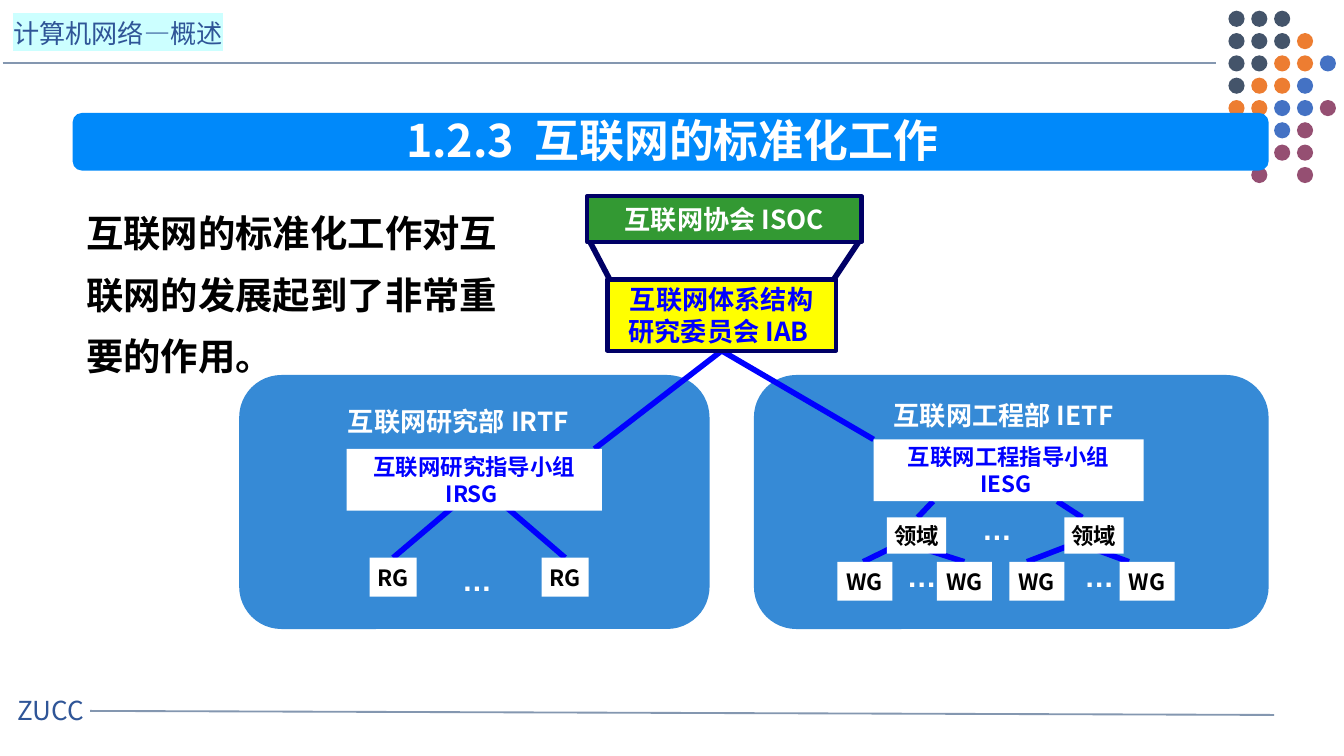
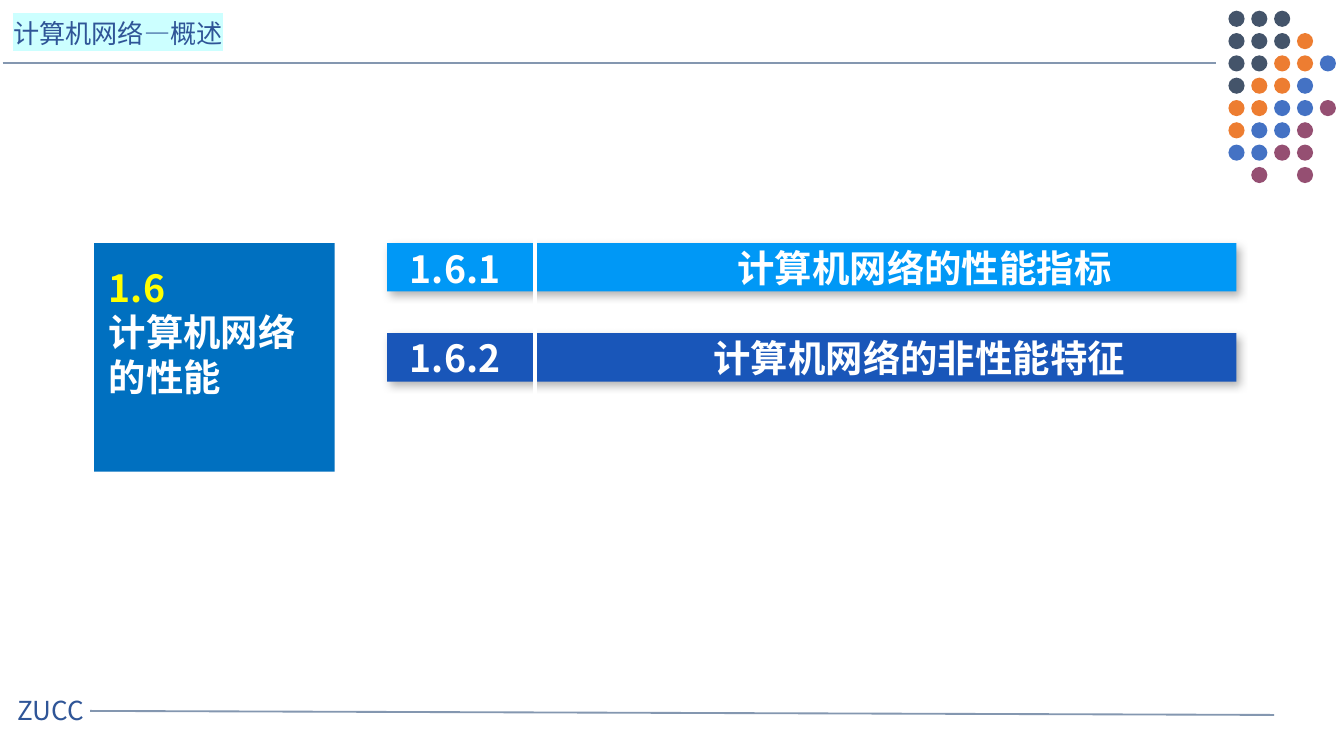
from lxml import etree
from pptx import Presentation, util as u
from pptx.dml.color import RGBColor
from pptx.enum import shapes as sh, text as tx
from pptx.oxml.ns import qn

WIDTH, HEIGHT = 10, 5.625
SANS, LATIN = "Noto Sans CJK SC", "Calibri"
WHITE, BLACK, BLUE, NAVY = "FFFFFF", "000000", "0000FF", "000066"

# Shared frame
RULES = [(0.02, 0.47, 9.05, 0.47), (0.67, 5.29, 9.48, 5.32)]
DOTS = ["NNN", "NNNO", "NNOOB", "NOOB", "OOBBP", "OBBP", "BBPP", " P P"]
DOT_COLORS = {"N": "44546A", "O": "ED7D31", "B": "4472C4", "P": "954F72"}
DOT_LEFT, DOT_TOP, DOT_X, DOT_Y, DOT_SIZE = 9.14, 0.08, 0.17, 0.166, 0.12

# Slide 1: standards bodies
STANDARDS = "1.2.3  互联网的标准化工作"
IMPORTANCE = "互联网的标准化工作对互联网的发展起到了非常重要的作用。"
PANELS = [(5.61, 2.79, 3.83, 1.89), (1.78, 2.79, 3.5, 1.89)]
PANEL_LABELS = [("互联网研究部 IRTF", (2.49, 2.97, 1.93, 0.34), tx.PP_ALIGN.LEFT),
                ("互联网工程部 IETF ", (6.52, 2.92, 1.94, 0.34), tx.PP_ALIGN.CENTER)]
ELLIPSES = [(7.21, 3.75), (6.65, 4.1), (7.97, 4.1), (3.34, 4.13)]
STYLES = {
    "society": dict(fill="339933", line=NAVY, size=14, color=WHITE),
    "board": dict(fill="FFFF00", line=NAVY, size=14, color=BLUE),
    "steering": dict(fill=WHITE, line=None, size=12, color=BLUE),
    "group": dict(fill=WHITE, line=None, size=12, color=BLACK),
}
BODIES = {
    "isoc": (["互联网协会 ISOC"], (4.37, 1.46, 2.04, 0.34), "society"),
    "iab": (["互联网体系结构", "研究委员会 IAB "], (4.52, 2.08, 1.7, 0.53), "board"),
    "irsg": (["互联网研究指导小组", "IRSG "], (2.58, 3.34, 1.9, 0.46), "steering"),
    "iesg": (["互联网工程指导小组", "IESG "], (6.5, 3.27, 2.01, 0.46), "steering"),
}
for kind, label, top, width, height, lefts in [
        ("rg", "RG", 4.15, 0.35, 0.29, (2.75, 4.03)),
        ("area", "领域", 3.85, 0.44, 0.27, (6.6, 7.92)),
        ("wg", "WG", 4.18, 0.41, 0.29, (6.23, 6.97, 7.51, 8.33))]:
    for number, left in enumerate(lefts, 1):
        BODIES[f"{kind}{number}"] = ([label], (left, top, width, height), "group")

# Parent, share of its bottom edge, child, share of its top edge, start inset, colour
LINKS = [
    ("isoc", 0.01, "iab", 0.01, 0, NAVY), ("isoc", 0.99, "iab", 0.99, 0, NAVY),
    ("iab", 0.5, "irsg", 0.97, 0, BLUE), ("iab", 0.5, "iesg", 0, 0, BLUE),
    ("irsg", 0.43, "rg1", 0.5, 0.05, BLUE), ("irsg", 0.61, "rg2", 0.5, 0.05, BLUE),
    ("iesg", 0.22, "area1", 0.52, 0, BLUE), ("iesg", 0.68, "area2", 0.3, 0, BLUE),
    ("area1", 0.11, "wg1", 0.47, 0.05, BLUE), ("area1", 0.52, "wg2", 0.5, 0.05, BLUE),
    ("area2", 0.02, "wg3", 0.32, 0.05, BLUE), ("area2", 0.41, "wg4", 0.17, 0.05, BLUE),
]

# Slide 2: section contents (number, topic, bar colour, left inset of the topic)
SECTION = [("1.6", "FFFF00"), ("计算机网络的性能", WHITE)]
TOPICS = [("1.6.1", "计算机网络的性能指标", "0098F6", 1.68),
          ("1.6.2", "计算机网络的非性能特征", "1956B9", 1.6)]
TOPIC_TOP, TOPIC_STEP, TOPIC_GAP = 1.81, 0.67, 24


def rgb(value):
    return RGBColor.from_string(value)


def inches(values):
    return [u.Inches(value) for value in values]


def add_xml(parent, tag, **attributes):
    return etree.SubElement(parent, qn(tag), attributes)


def add_run(paragraph, words, size, color, face=SANS, bold=True, highlight=None):
    run = paragraph.add_run()
    run.text = words
    for key, value in dict(size=u.Pt(size), bold=bold).items():
        setattr(run.font, key, value)
    run.font.color.rgb = rgb(color)
    properties = run.font._element
    if highlight:
        add_xml(add_xml(properties, "a:highlight"), "a:srgbClr", val=highlight)
    run.font.name = face
    add_xml(properties, "a:ea", typeface=SANS)


def set_frame(shape, wrap=True, anchor=tx.MSO_ANCHOR.TOP):
    frame = shape.text_frame
    settings = dict(word_wrap=wrap, vertical_anchor=anchor, auto_size=tx.MSO_AUTO_SIZE.NONE)
    for key, value in settings.items():
        setattr(frame, key, value)
    return frame


def next_paragraph(frame, index, align=tx.PP_ALIGN.LEFT, before=0, spacing=None):
    paragraph = frame.paragraphs[0] if index == 0 else frame.add_paragraph()
    properties = paragraph._p.get_or_add_pPr()
    properties.set("marL", "0")
    properties.set("indent", "0")
    add_xml(properties, "a:buNone")
    settings = dict(alignment=align, space_before=u.Pt(before), line_spacing=spacing)
    for key, value in settings.items():
        setattr(paragraph, key, value)
    return paragraph


def add_label(slide, words, box, size=14, color=WHITE, wrap=False,
              align=tx.PP_ALIGN.LEFT, **font):
    label = slide.shapes.add_textbox(*inches(box))
    add_run(next_paragraph(set_frame(label, wrap), 0, align), words, size, color, **font)
    return label


def add_block(slide, box, fill, line=None, preset=sh.MSO_SHAPE.RECTANGLE):
    block = slide.shapes.add_shape(preset, *inches(box))
    block.shadow.inherit = False
    block.fill.solid()
    block.fill.fore_color.rgb = rgb(fill)
    if line:
        block.line.color.rgb = rgb(line)
        block.line.width = u.Pt(2.25)
    else:
        block.line.fill.background()
    return block


def add_line(slide, ends, color, width):
    line = slide.shapes.add_connector(sh.MSO_CONNECTOR.STRAIGHT, *inches(ends))
    line.line.color.rgb = rgb(color)
    line.line.width = u.Pt(width)
    add_xml(line._element.spPr, "a:effectLst")
    return line


def cast_shadow(block):
    effects = block._element.spPr.find(qn("a:effectLst"))
    shadow = add_xml(effects, "a:outerShdw", blurRad=str(u.Pt(4.5)), dist=str(u.Pt(2.6)),
                     dir=str(53 * 60000), algn="tl", rotWithShape="0")
    add_xml(add_xml(shadow, "a:srgbClr", val=BLACK), "a:alpha", val="30000")


def place(holder, box):
    """Move a placeholder and bring it in front of what is drawn so far."""
    for key, value in zip(("left", "top", "width", "height"), inches(box)):
        setattr(holder, key, value)
    tree = holder._element.getparent()
    tree.append(holder._element)
    return holder


def build_frame(slide, layout):
    """Draw the rules, labels and dots, then hand them to the layout."""
    parts = [add_line(slide, ends, "8497B0", 1) for ends in RULES]
    parts.append(add_label(slide, "ZUCC", (0.03, 5.12, 0.89, 0.34),
                           color="2F5597", wrap=True, bold=False))
    parts.append(add_label(slide, "计算机网络—概述", (0, 0.08, 2.16, 0.34),
                           color="2F5597", wrap=True, bold=False, highlight="CCFFFF"))
    for row, codes in enumerate(DOTS):
        for column, code in enumerate(codes):
            if code in DOT_COLORS:
                box = (DOT_LEFT + column * DOT_X, DOT_TOP + row * DOT_Y, DOT_SIZE, DOT_SIZE)
                parts.append(add_block(slide, box, DOT_COLORS[code],
                                       preset=sh.MSO_SHAPE.OVAL))
    for holder in list(layout.placeholders):
        if holder.placeholder_format.idx >= 10:
            holder._element.getparent().remove(holder._element)
    for number, part in enumerate(parts, 100):
        part._element.xpath(".//p:cNvPr")[0].set("id", str(number))
        layout.shapes._spTree.append(part._element)


def build_standards(slide):
    add_block(slide, (0.54, 0.84, 8.9, 0.43), "0089FA",
              preset=sh.MSO_SHAPE.ROUNDED_RECTANGLE)
    title = set_frame(place(slide.shapes.title, (2.88, 0.79, 4.24, 0.5)), wrap=False)
    add_run(next_paragraph(title, 0, tx.PP_ALIGN.CENTER), STANDARDS, 24, WHITE)
    body = set_frame(place(slide.placeholders[1], (0.54, 1.39, 3.42, 1.49)))
    add_run(next_paragraph(body, 0, spacing=u.Pt(33)), IMPORTANCE, 20, BLACK, LATIN)

    # Panels and the links between the bodies
    for box in PANELS:
        add_block(slide, box, "368AD6", preset=sh.MSO_SHAPE.ROUNDED_RECTANGLE)
    for parent, start, child, end, inset, color in LINKS:
        left, top, width, height = BODIES[parent][1]
        child_left, child_top, child_width, _ = BODIES[child][1]
        add_line(slide, (left + start * width, top + height - inset,
                         child_left + end * child_width, child_top), color, 3)

    # Labels and boxes
    for words, box, align in PANEL_LABELS:
        add_label(slide, words, box, wrap=True, align=align)
    for left, top in ELLIPSES:
        add_label(slide, "…", (left, top, 0.36, 0.31), size=16, face="Arial")
    for lines, box, style in BODIES.values():
        look = STYLES[style]
        block = add_block(slide, box, look["fill"], look["line"])
        frame = set_frame(block, wrap=False, anchor=tx.MSO_ANCHOR.MIDDLE)
        for index, words in enumerate(lines):
            add_run(next_paragraph(frame, index, tx.PP_ALIGN.CENTER),
                    words, look["size"], look["color"])


def build_section(slide):
    add_block(slide, (0.7, 1.81, 1.79, 1.7), "0070C0")
    title = set_frame(place(slide.shapes.title, (0.71, 1.92, 1.78, 1.11)))
    for index, (words, color) in enumerate(SECTION):
        add_run(next_paragraph(title, index), words, 20, color)

    # Topic bars, the divider and the numbers over them
    for index, (_, topic, fill, inset) in enumerate(TOPICS):
        bar = add_block(slide, (2.88, TOPIC_TOP + index * TOPIC_STEP, 6.32, 0.36), fill)
        cast_shadow(bar)
        frame = set_frame(bar, anchor=tx.MSO_ANCHOR.MIDDLE)
        frame.margin_left, frame.margin_right = inches((inset, 0))
        add_run(next_paragraph(frame, 0, tx.PP_ALIGN.CENTER), topic, 20, WHITE, LATIN)
    add_line(slide, (3.98, 1.74, 3.98, 3.03), WHITE, 2.25)
    body = set_frame(place(slide.placeholders[1], (2.95, 1.78, 1.03, 1.11)))
    for index, (number, *_) in enumerate(TOPICS):
        paragraph = next_paragraph(body, index, before=TOPIC_GAP * index)
        add_run(paragraph, number, 20, WHITE)


def main():
    deck = Presentation()
    deck.slide_width, deck.slide_height = inches((WIDTH, HEIGHT))
    layout = deck.slide_layouts[1]
    standards, section = [deck.slides.add_slide(layout) for _ in range(2)]
    build_frame(standards, layout)
    build_standards(standards)
    build_section(section)
    deck.save("out.pptx")


if __name__ == "__main__":
    main()
